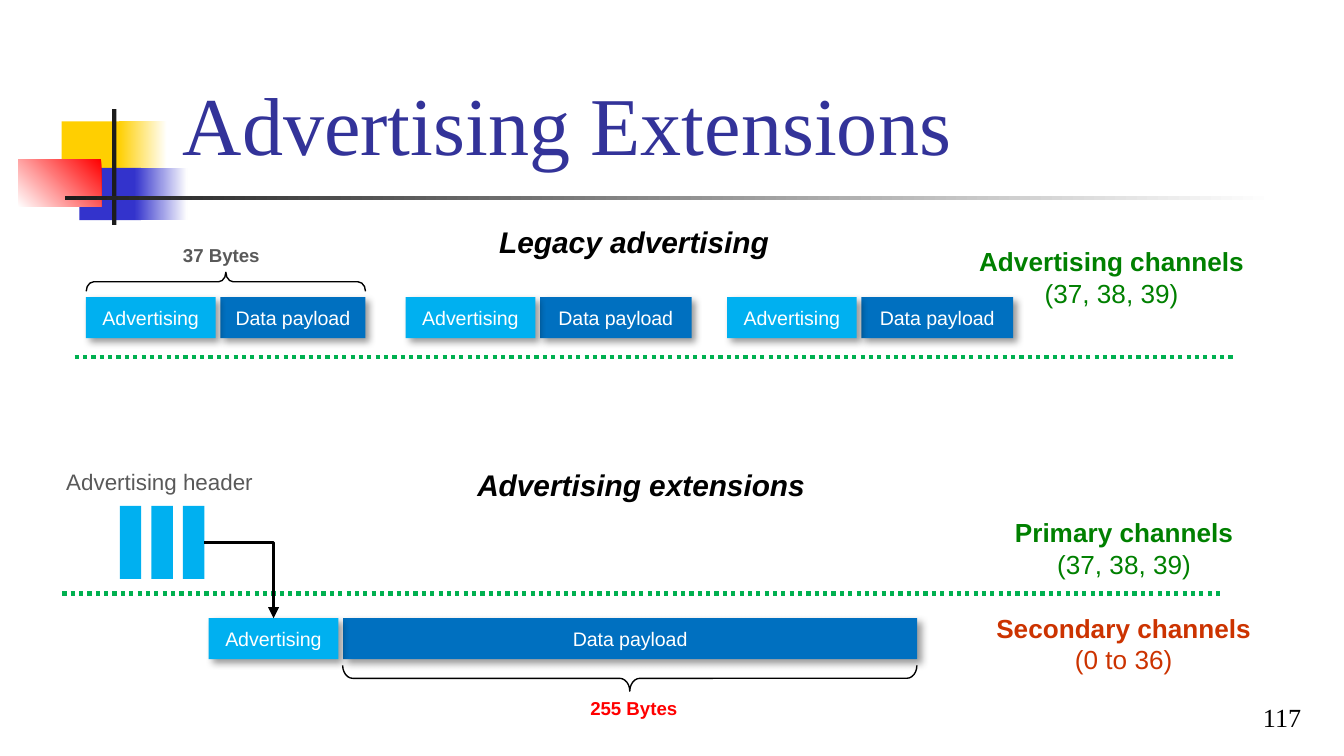
from lxml import etree
from pptx import Presentation
from pptx.dml.color import RGBColor
from pptx.enum import dml, shapes, text
from pptx.oxml import ns
from pptx.util import Pt

RECT = shapes.MSO_SHAPE.RECTANGLE
BRACE = shapes.MSO_SHAPE.LEFT_BRACE
LINE = shapes.MSO_CONNECTOR.STRAIGHT
ELBOW = shapes.MSO_CONNECTOR.ELBOW
CENTER, RIGHT = text.PP_ALIGN.CENTER, text.PP_ALIGN.RIGHT
MIDDLE, BOTTOM = text.MSO_ANCHOR.MIDDLE, text.MSO_ANCHOR.BOTTOM
rgb = RGBColor.from_string

CYAN, BLUE, GREEN = "00B0F0", "0070C0", "008000"

prs = Presentation()
prs.slide_width, prs.slide_height = Pt(720), Pt(405)
s = prs.slides.add_slide(prs.slide_layouts[5])


def add_block(box, fill=None, kind=RECT):
    sp = s.shapes.add_shape(kind, *map(Pt, box))
    sp.shadow.inherit = False
    sp.line.fill.background()
    if fill:
        sp.fill.solid()
        sp.fill.fore_color.rgb = rgb(fill)
    else:
        sp.fill.background()
    return sp


def write(sp, lines, size, color, font="Arial", align=CENTER, anchor=MIDDLE,
          bold=False, italic=False):
    """Fill a shape with unwrapped lines; bold applies to the first one."""
    tf = sp.text_frame
    tf.text = lines
    tf.word_wrap = False
    tf.vertical_anchor = anchor
    for i, p in enumerate(tf.paragraphs):
        p.alignment = align
        f = p.runs[0].font
        f.name, f.size, f.color.rgb = font, Pt(size), rgb(color)
        f.bold, f.italic = bold and i == 0, italic


# Corner ornament and title rule: box, fill, gradient angle
for box, color, angle in [
    ((33, 65, 34.5, 28), "FFCF01", None),
    ((63.5, 65, 26, 28), "FFCF01", 0),
    ((42.5, 90, 33, 28), "3333CC", None),
    ((72, 90, 28.5, 28), "3333CC", 0),
    ((9.7, 85.4, 44.5, 25.5), "FF0000", 225),
    ((60, 58.5, 2.3, 62), "1C1C1C", None),
    ((34.8, 105.1, 648, 2.2), "1C1C1C", 0),
]:
    sp = add_block(box, color)
    if angle is not None:
        sp.fill.gradient()
        sp.fill.gradient_angle = angle
        for stop, stop_color in zip(sp.fill.gradient_stops, (color, "FFFFFF")):
            stop.color.rgb = rgb(stop_color)

# Title
title = s.shapes.title
title.left, title.top, title.width, title.height = map(Pt, (90.7, 13, 613.4, 86.4))
write(title, "Advertising Extensions", 44, "333399", "Times New Roman",
      text.PP_ALIGN.LEFT, BOTTOM)
tf = title.text_frame
tf.auto_size = text.MSO_AUTO_SIZE.NONE
tf.word_wrap = True
tf.margin_left = tf.margin_right = tf.margin_top = tf.margin_bottom = Pt(7.2)

# Channel lines
for left, y in [(40, 191.3), (33.4, 318)]:
    channel = s.shapes.add_connector(LINE, Pt(left), Pt(y), Pt(left + 620.5), Pt(y))
    channel.line.color.rgb = rgb("00B050")
    channel.line.width = Pt(2.25)
    channel.line.dash_style = dml.MSO_LINE.ROUND_DOT
    etree.SubElement(channel.element.spPr, ns.qn("a:effectLst"))

# Packets: an advertising block followed by its data payload
for left, top, payload_width in [
    (46, 159.2, 77.8), (217.3, 159.2, 81.2), (389.5, 159.2, 81.2), (111.8, 331.2, 307.6),
]:
    payload = add_block((left + 72, top, payload_width, 22), BLUE)
    advert = add_block((left, top, 69.5, 22), CYAN)
    for sp, label in [(payload, "Data payload"), (advert, "Advertising")]:
        write(sp, label, 10.5, "FFFFFF")
        effects = sp.element.spPr.find(ns.qn("a:effectLst"))
        shadow = etree.SubElement(
            effects, ns.qn("a:outerShdw"), blurRad=str(Pt(4)), dist=str(Pt(3)),
            dir="2700000", algn="tl", rotWithShape="0")
        black = etree.SubElement(shadow, ns.qn("a:srgbClr"), val="000000")
        etree.SubElement(black, ns.qn("a:alpha"), val="40000")

# Primary header bars, pointing to the extended packet
for i in range(3):
    bar = add_block((64.2 + 16.9 * i, 271, 11.5, 39.2), CYAN)
arrow = s.shapes.add_connector(ELBOW, 0, 0, Pt(1), Pt(1))
arrow.begin_connect(bar, 3)
arrow.end_connect(advert, 0)
arrow.element.spPr.find(ns.qn("a:prstGeom")).set("prst", "bentConnector2")
arrow.line.color.rgb = rgb("000000")
arrow.line.width = Pt(1.5)
etree.SubElement(arrow.line._get_or_add_ln(), ns.qn("a:tailEnd"), type="triangle")
etree.SubElement(arrow.element.spPr, ns.qn("a:effectLst"))

# Size braces
for box, rotation in [((115.9, 76.2, 10.2, 149.6), 90), ((330.5, 209.6, 13.8, 307.6), 270)]:
    brace = add_block(box, kind=BRACE)
    brace.rotation = rotation
    brace.adjustments[0] = 0.39
    brace.line.color.rgb = rgb("000000")
    brace.line.width = Pt(0.75)

# Labels: box, text, size, colour, bold, italic
for box, label, size, color, bold, italic in [
    ((259.5, 116, 160.5, 26.6), "Legacy advertising", 16, "000000", True, True),
    ((247.5, 246.5, 192, 26.6), "Advertising extensions", 16, "000000", True, True),
    ((90.5, 126.8, 56, 19.4), "37 Bytes", 10, "595959", True, False),
    ((309, 369.4, 61, 19.4), "255 Bytes", 10, "FF0000", True, False),
    ((28, 247, 115, 21.8), "Advertising header", 12, "595959", False, False),
    ((517, 127.8, 157, 41.2), "Advertising channels\n(37, 38, 39)", 14, GREEN, True, False),
    ((536, 273, 132.5, 41.2), "Primary channels\n(37, 38, 39)", 14, GREEN, True, False),
    ((526.5, 324, 151, 41.2), "Secondary channels\n(0 to 36)", 14, "CC3300", True, False),
]:
    write(s.shapes.add_textbox(*map(Pt, box)), label, size, color, bold=bold, italic=italic)

# Slide number
number = s.shapes.add_textbox(Pt(554.4), Pt(368.6), Pt(149.8), Pt(27.4))
write(number, "117", 14, "000000", "Times New Roman", RIGHT, BOTTOM)
number.text_frame.word_wrap = True

prs.save("out.pptx")
